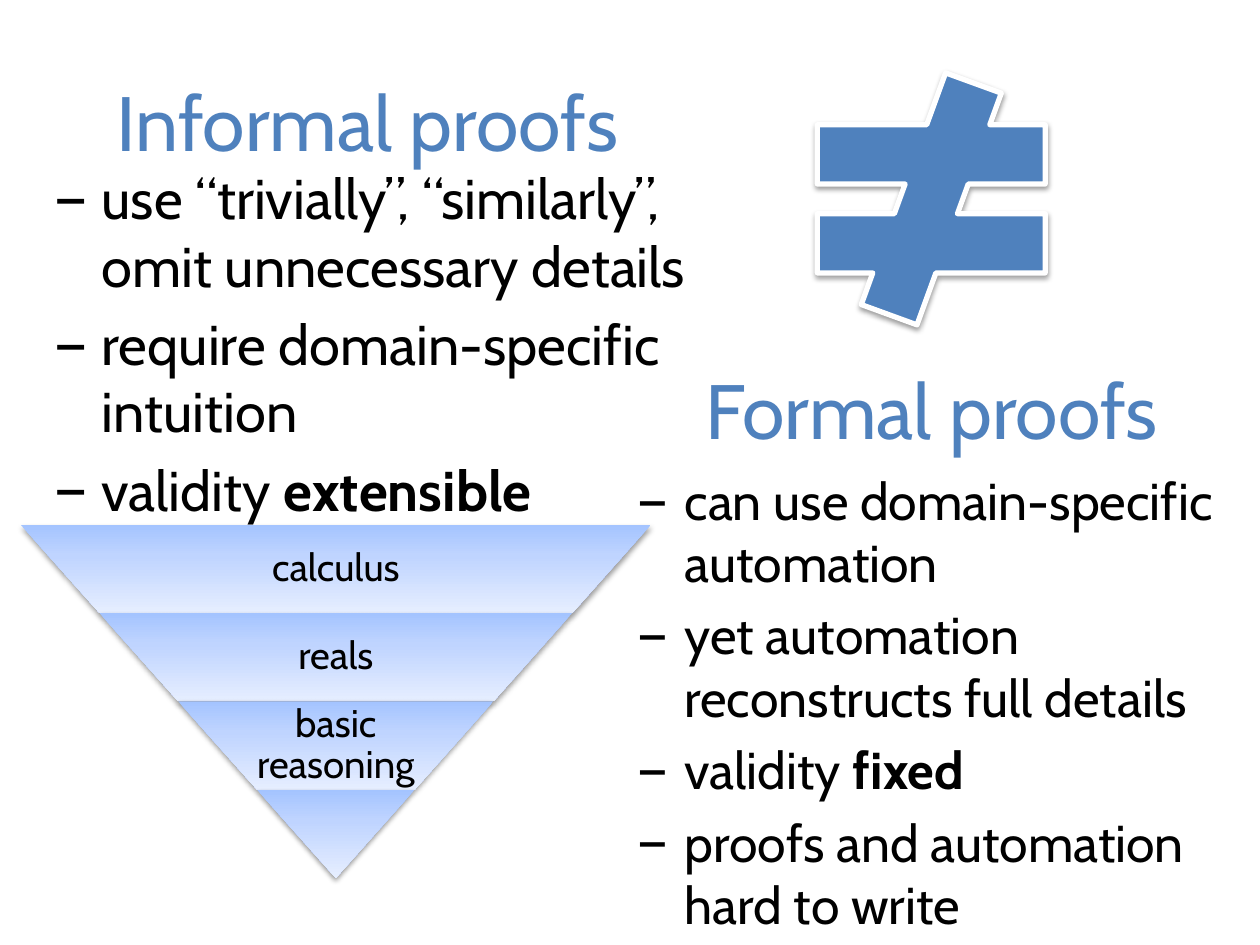
"""Build a slide contrasting informal proofs with formal proofs."""
from dataclasses import dataclass

import pptx
import pptx.dml.color
import pptx.enum.shapes
import pptx.enum.text
import pptx.oxml
import pptx.oxml.ns
import pptx.shapes.autoshape
import pptx.util
from pptx.util import Cm, Pt

BLUE = pptx.dml.color.RGBColor(0x4F, 0x81, 0xBD)
BLACK = pptx.dml.color.RGBColor(0x00, 0x00, 0x00)
WHITE = pptx.dml.color.RGBColor(0xFF, 0xFF, 0xFF)
BAND_STOPS = ((0, "A4C4FF"), (35, "BFD4FF"), (100, "E6EEFF"))
FONT = "Cabin"
NAMESPACE = pptx.oxml.ns.nsdecls("a")
CENTER = pptx.enum.text.PP_ALIGN.CENTER
MIDDLE = pptx.enum.text.MSO_ANCHOR.MIDDLE


@dataclass(frozen=True)
class Frame:
    left: float
    top: float
    width: float
    height: float

    def lengths(self) -> tuple:
        return Cm(self.left), Cm(self.top), Cm(self.width), Cm(self.height)


@dataclass(frozen=True)
class Title:
    text: str
    frame: Frame


@dataclass(frozen=True)
class Item:
    text: str
    emphasis: str = ""


@dataclass(frozen=True)
class ItemList:
    frame: Frame
    size: float
    items: tuple


TITLES = (
    Title("Informal proofs", Frame(0.85, 0.85, 13.12, 3.18)),
    Title("Formal proofs", Frame(12.22, 6.65, 13.12, 3.18)),
)
LISTS = (
    ItemList(Frame(12.6, 9.32, 12.8, 9.55), 29.6, (
        Item("can use domain-specific automation"),
        Item("yet automation reconstructs full details"),
        Item("validity", " fixed"),
        Item("proofs and automation hard to write"),
    )),
    ItemList(Frame(0.85, 3.18, 14.4, 7.19), 32, (
        Item("use “trivially”, “similarly”, omit unnecessary details"),
        Item("require domain-specific intuition"),
        Item("validity", " extensible"),
    )),
)
BANDS = ("calculus", "reals", "basic reasoning", "")
PYRAMID = Frame(0.42, 10.58, 12.7, 7.12)
LABEL_SHARE = 0.65
NOT_EQUAL = Frame(15.65, 1.47, 6.25, 5.08)


def style_span(span, size: float, color: pptx.dml.color.RGBColor, bold: bool = False) -> None:
    span.font.name = FONT
    span.font.size = Pt(size)
    span.font.color.rgb = color
    span.font.bold = bold


def add_box(shapes, frame: Frame):
    box = shapes.add_textbox(*frame.lengths())
    box.text_frame.word_wrap = True
    return box


def add_centered(shapes, frame: Frame, text: str, size: float, color: pptx.dml.color.RGBColor):
    box = add_box(shapes, frame)
    box.text_frame.text = text
    box.text_frame.vertical_anchor = MIDDLE
    para = box.text_frame.paragraphs[0]
    para.alignment = CENTER
    style_span(para.runs[0], size, color)
    return box


def add_dash_bullet(para) -> None:
    properties = para._p.get_or_add_pPr()
    properties.set("marL", str(Cm(0.95)))
    properties.set("indent", str(-Cm(0.95)))
    for markup in (f'<a:buFont {NAMESPACE} typeface="{FONT}"/>', f'<a:buChar {NAMESPACE} char="—"/>'):
        properties.append(pptx.oxml.parse_xml(markup))


def add_list(shapes, content: ItemList) -> None:
    frame = add_box(shapes, content.frame).text_frame
    frame.text = "\n".join(item.text for item in content.items)
    for para, item in zip(frame.paragraphs, content.items):
        para.space_before = Pt(round(content.size * 0.2, 1))
        add_dash_bullet(para)
        style_span(para.runs[0], content.size, BLACK)
        if item.emphasis:
            span = para.add_run()
            span.text = item.emphasis
            style_span(span, content.size, BLACK, bold=True)


def add_shadow(shape: pptx.shapes.autoshape.Shape) -> None:
    shape._element.spPr.append(pptx.oxml.parse_xml(
        f'<a:effectLst {NAMESPACE}><a:outerShdw blurRad="{Pt(3.1)}" dist="{Pt(1.6)}" dir="5400000" '
        'rotWithShape="0"><a:srgbClr val="000000"><a:alpha val="38000"/></a:srgbClr>'
        '</a:outerShdw></a:effectLst>'))


def fill_band(shape: pptx.shapes.autoshape.Shape) -> None:
    stops = "".join(f'<a:gs pos="{position * 1000}"><a:srgbClr val="{color}"/></a:gs>'
                    for position, color in BAND_STOPS)
    shape.line.fill.background()
    shape._element.spPr.find(pptx.oxml.ns.qn("a:prstGeom")).addnext(pptx.oxml.parse_xml(
        f'<a:gradFill {NAMESPACE} rotWithShape="1"><a:gsLst>{stops}</a:gsLst>'
        '<a:lin ang="16200000" scaled="0"/></a:gradFill>'))


def add_band(shapes, frame: Frame, label: str, slant: float) -> None:
    band = shapes.add_shape(pptx.enum.shapes.MSO_SHAPE.TRAPEZOID, *frame.lengths())
    band.rotation = 180
    band.adjustments[0] = slant
    fill_band(band)
    add_shadow(band)
    if not label:
        return
    width = frame.width * LABEL_SHARE
    left = frame.left + (frame.width - width) / 2
    box = add_centered(shapes, Frame(left, frame.top, width, frame.height), label, 22, BLACK)
    text = box.text_frame
    text.margin_left = text.margin_right = text.margin_top = text.margin_bottom = Cm(0.07)
    text.paragraphs[0].line_spacing = 0.9


def add_pyramid(shapes, frame: Frame, labels: tuple) -> None:
    height = frame.height / len(labels)
    inset = frame.width / len(labels) / 2
    for index, label in enumerate(labels):
        band = Frame(frame.left + index * inset, frame.top + index * height,
                     frame.width - 2 * index * inset, height)
        add_band(shapes, band, label, inset / height)


def add_not_equal(shapes, frame: Frame) -> None:
    sign = shapes.add_shape(pptx.enum.shapes.MSO_SHAPE.MATH_NOT_EQUAL, *frame.lengths())
    sign.fill.solid()
    sign.fill.fore_color.rgb = BLUE
    sign.line.color.rgb = WHITE
    sign.line.width = Pt(3)
    add_shadow(sign)


def main() -> None:
    deck = pptx.Presentation()
    deck.slide_width, deck.slide_height = Cm(25.4), Cm(19.05)
    page = deck.slides.add_slide(deck.slide_layouts[6])
    for content in LISTS:
        add_list(page.shapes, content)
    add_pyramid(page.shapes.add_group_shape().shapes, PYRAMID, BANDS)
    add_not_equal(page.shapes, NOT_EQUAL)
    for title in TITLES:
        add_centered(page.shapes, title.frame, title.text, 44, BLUE)
    deck.save("out.pptx")


if __name__ == "__main__":
    main()
